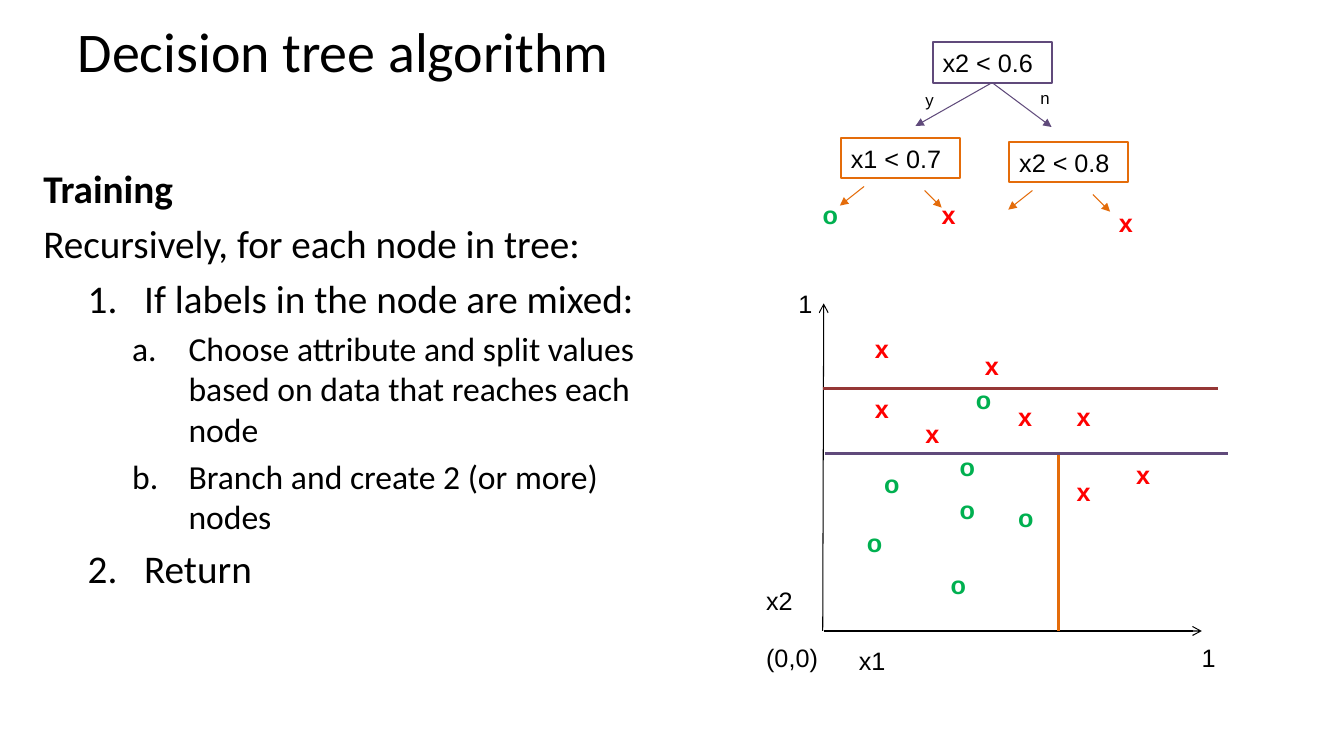
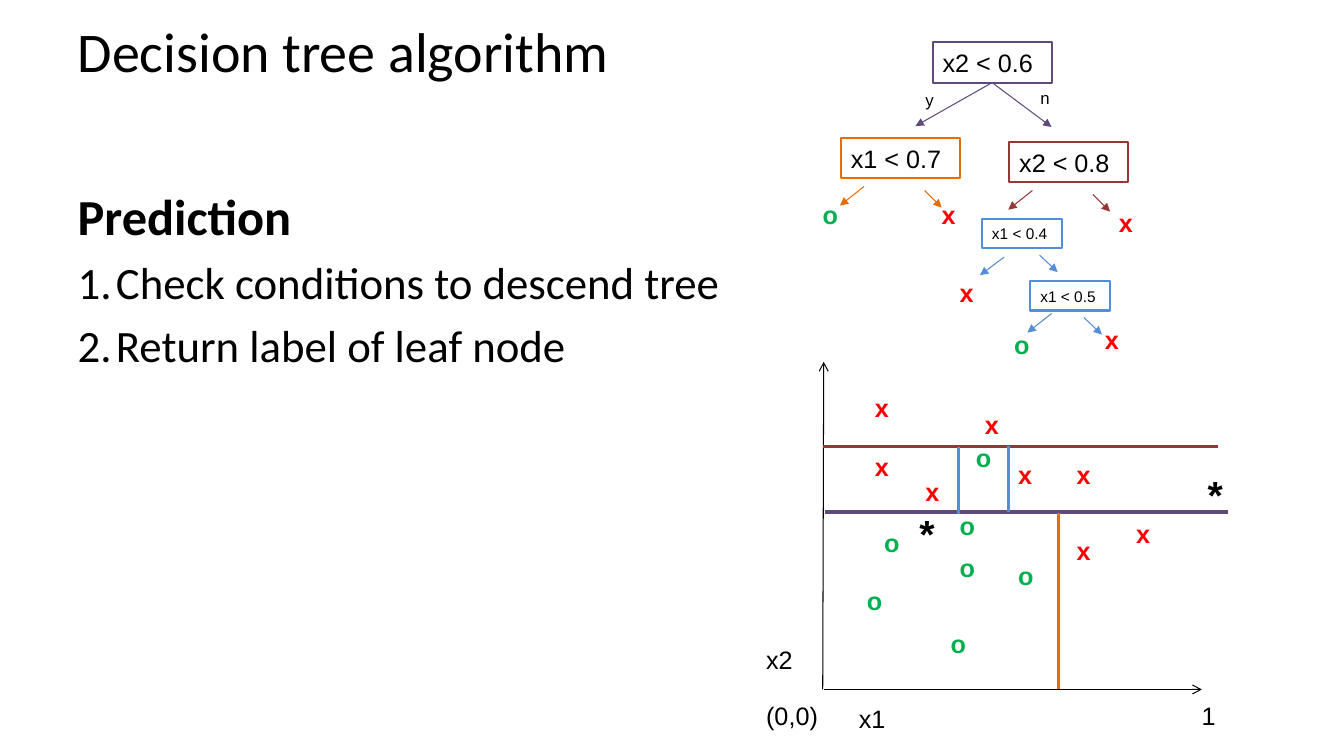
from lxml import etree
from pptx import Presentation
from pptx.dml.color import RGBColor
from pptx.enum import shapes, text
from pptx.oxml import ns
from pptx.util import Emu, Pt

PX = 9144  # 100 px to the inch
SIZE = (1333, 750)
INK = {"black": "000000", "red": "FF0000", "green": "00B050", "plum": "604A7B",
       "orange": "E46C0A", "brick": "953735", "blue": "558ED5"}

TITLE = "Decision tree algorithm"
TITLE_BOX = (67, 0, 1200, 100)

# Mark or label: width, height, size, colour, bold
LOOKS = {
    "x": (34, 40, 18, "red", True),
    "o": (36, 40, 18, "green", True),
    "*": (35, 57, 28, "black", True),
    "x1": (47, 40, 18, "black", False),
    "x2": (47, 40, 18, "black", False),
    "(0,0)": (72, 40, 18, "black", False),
    "1": (34, 40, 18, "black", False),
    "y": (29, 30, 12, "black", False),
    "n": (29, 30, 12, "black", False),
}

# Node kind: box size, text size, then the two arrows relative to the box
KINDS = {
    "root": (118, 40, 18, ((59, 40, -17, 83), (59, 40, 118, 84))),
    "mid": (118, 40, 18, ((23, 48, -1, 67), (83, 52, 100, 69))),
    "low": (79, 29, 11, ((22, 38, -2, 56), (57, 36, 75, 53))),
    "last": (79, 29, 11, ((21, 32, -3, 51), (53, 36, 71, 53))),
}

# Plot, placed as on the first slide
POINTS = {
    "x": [(1000, 393), (1058, 393), (1058, 468), (1117, 451),
          (858, 326), (858, 385), (967, 343), (908, 410)],
    "o": [(958, 376), (1000, 493), (850, 518), (867, 460),
          (933, 560), (942, 485), (942, 443)],
    "x2": [(750, 576)],
    "x1": [(842, 635)],
    "(0,0)": [(750, 632)],
    "1": [(1182, 632)],
}
AXES = [(816, 626, 817, 301), (817, 626, 1192, 626)]
SPLITS = [("plum", (818, 450, 1218, 450)), ("brick", (816, 385, 1208, 385)),
          ("orange", (1050, 451, 1050, 626))]

# Tree
NODES = [("x2 < 0.6", "root", 925, 42, "plum"), ("x1 < 0.7", "mid", 834, 137, "orange")]
LEAVES = {"o": [(806, 193)], "x": [(924, 193), (1100, 201)],
          "n": [(1022, 82)], "y": [(908, 84)]}

# Body line: text, size, bold, level, left margin, hanging indent, numbering
SLIDES = [
    {
        "box": (33, 158, 658, 492),
        "body": [
            ("Training", 28, True, 0, 0, 0, None),
            ("Recursively, for each node in tree:", 28, False, 0, 0, 0, None),
            ("If labels in the node are mixed:", 28, False, 1, 100, 56, "arabicPeriod"),
            ("Choose attribute and split values based on data that reaches each node",
             24, False, 2, 144, 56, "alphaLcPeriod"),
            ("Branch and create 2 (or more) nodes", 24, False, 2, 144, 56, "alphaLcPeriod"),
            ("Return", 28, False, 1, 100, 56, "arabicPeriod"),
        ],
        "drop": 0,
        "nodes": [("x2 < 0.8", "mid", 1001, 141, "orange")],
        "marks": {"1": [(782, 281)]},
        "splits": [],
    },
    {
        "box": (67, 179, 1200, 491),
        "body": [
            ("Prediction", 36, True, 0, 0, 0, None),
            ("Check conditions to descend tree", 32, False, 0, 38, 38, "arabicPeriod"),
            ("Return label of leaf node", 32, False, 0, 38, 38, "arabicPeriod"),
        ],
        "drop": 58,
        "nodes": [("x2 < 0.8", "mid", 1001, 141, "brick"),
                  ("x1 < 0.4", "low", 974, 217, "blue"),
                  ("x1 < 0.5", "last", 1022, 279, "blue")],
        "marks": {"x": [(942, 270), (1086, 317)], "o": [(996, 322)],
                  "*": [(1188, 462), (902, 500)]},
        "splits": [("blue", (951, 443, 951, 510)), ("blue", (1000, 442, 1000, 508))],
    },
]


def emu(nums):
    return [Emu(n * PX) for n in nums]


def tint(name):
    return RGBColor.from_string(INK[name])


def style(run, size, ink="black", bold=False, face="Arial"):
    for key, value in {"name": face, "size": Pt(size), "bold": bold}.items():
        setattr(run.font, key, value)
    run.font.color.rgb = tint(ink)


def place(shape, box):
    for key, value in zip(("left", "top", "width", "height"), emu(box)):
        setattr(shape, key, value)


def write(host, label, x, y):
    """Put a mark or label with its top left corner at x, y."""
    wide, high, *look = LOOKS[label]
    frame = host.add_textbox(*emu((x, y, wide, high))).text_frame
    frame.word_wrap = False
    frame.auto_size = text.MSO_AUTO_SIZE.SHAPE_TO_FIT_TEXT
    run = frame.paragraphs[0].add_run()
    run.text = label
    style(run, *look)


def scatter(host, marks, drop=0):
    for label, spots in marks.items():
        for x, y in spots:
            write(host, label, x, y + drop)


def rule(host, ends, ink, width, head=None, drop=0):
    """Draw a line, with an arrowhead at its end if head is given."""
    x1, y1, x2, y2 = ends
    line = host.add_connector(shapes.MSO_CONNECTOR.STRAIGHT,
                              *emu((x1, y1 + drop, x2, y2 + drop)))
    line.line.color.rgb = tint(ink)
    line.line.width = Pt(width)
    if head:
        etree.SubElement(line.line._get_or_add_ln(), ns.qn("a:tailEnd"), type=head)
    etree.SubElement(line._element.spPr, ns.qn("a:effectLst"))


def node(host, test, kind, x, y, ink):
    wide, high, size, fork = KINDS[kind]
    box = host.add_shape(shapes.MSO_SHAPE.RECTANGLE, *emu((x, y, wide, high)))
    box.shadow.inherit = False
    box.fill.background()
    box.line.color.rgb = tint(ink)
    box.line.width = Pt(1.5)
    frame = box.text_frame
    frame.word_wrap = True
    para = frame.paragraphs[0]
    para.alignment = text.PP_ALIGN.LEFT
    run = para.add_run()
    run.text = test
    style(run, size)
    for a, b, c, d in fork:
        rule(host, (x + a, y + b, x + c, y + d), ink, 0.75, "triangle")


def head(slide):
    title = slide.shapes.title
    place(title, TITLE_BOX)
    frame = title.text_frame
    frame.vertical_anchor = text.MSO_ANCHOR.MIDDLE
    para = frame.paragraphs[0]
    para.alignment = text.PP_ALIGN.LEFT
    run = para.add_run()
    run.text = TITLE
    style(run, 40, face="Calibri")


def body(slide, box, lines):
    holder = slide.placeholders[1]
    place(holder, box)
    frame = holder.text_frame
    frame.auto_size = text.MSO_AUTO_SIZE.NONE
    for i, (line, size, bold, level, left, hang, count) in enumerate(lines):
        para = frame.add_paragraph() if i else frame.paragraphs[0]
        para.level = level
        props = para._p.get_or_add_pPr()
        props.set("marL", str(left * PX))
        props.set("indent", str(-hang * PX))
        if count:
            etree.SubElement(props, ns.qn("a:buFont"), typeface="+mj-lt")
            etree.SubElement(props, ns.qn("a:buAutoNum"), type=count)
        else:
            etree.SubElement(props, ns.qn("a:buNone"))
        if not i:
            para.space_before = Pt(0)
        run = para.add_run()
        run.text = line
        style(run, size, bold=bold, face="Calibri")


def plot(slide, drop, extra):
    group = slide.shapes.add_group_shape().shapes
    scatter(group, POINTS, drop)
    for ends in AXES:
        rule(group, ends, "black", 0.75, "arrow", drop)
    for ink, ends in SPLITS:
        rule(group, ends, ink, 2.25, drop=drop)
    for ink, ends in extra:
        rule(group, ends, ink, 2.25)


def main():
    deck = Presentation()
    deck.slide_width, deck.slide_height = emu(SIZE)
    for page in SLIDES:
        slide = deck.slides.add_slide(deck.slide_layouts[1])
        head(slide)
        body(slide, page["box"], page["body"])
        plot(slide, page["drop"], page["splits"])
        for item in NODES + page["nodes"]:
            node(slide.shapes, *item)
        for marks in (LEAVES, page["marks"]):
            scatter(slide.shapes, marks)
    deck.save("out.pptx")


if __name__ == "__main__":
    main()
